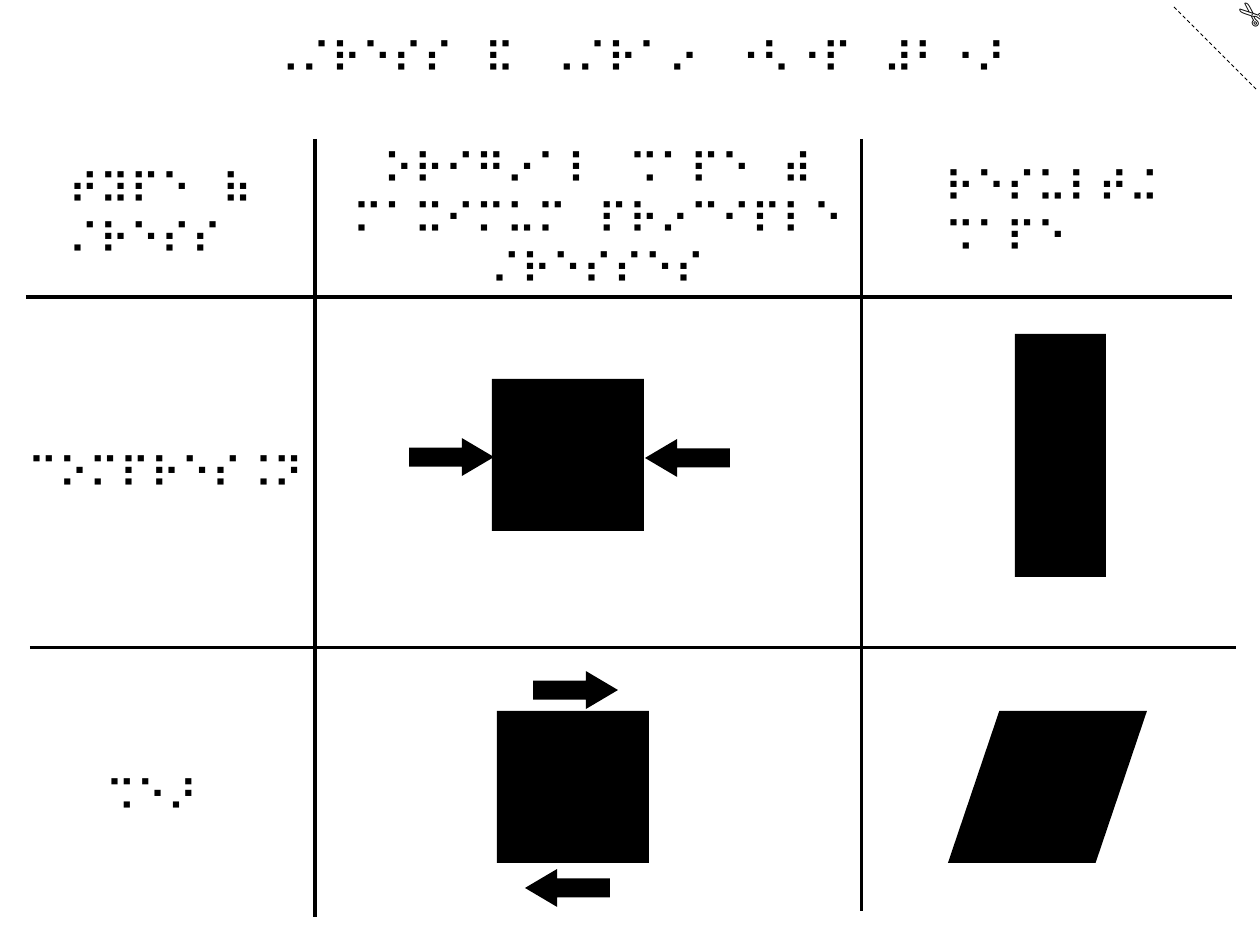
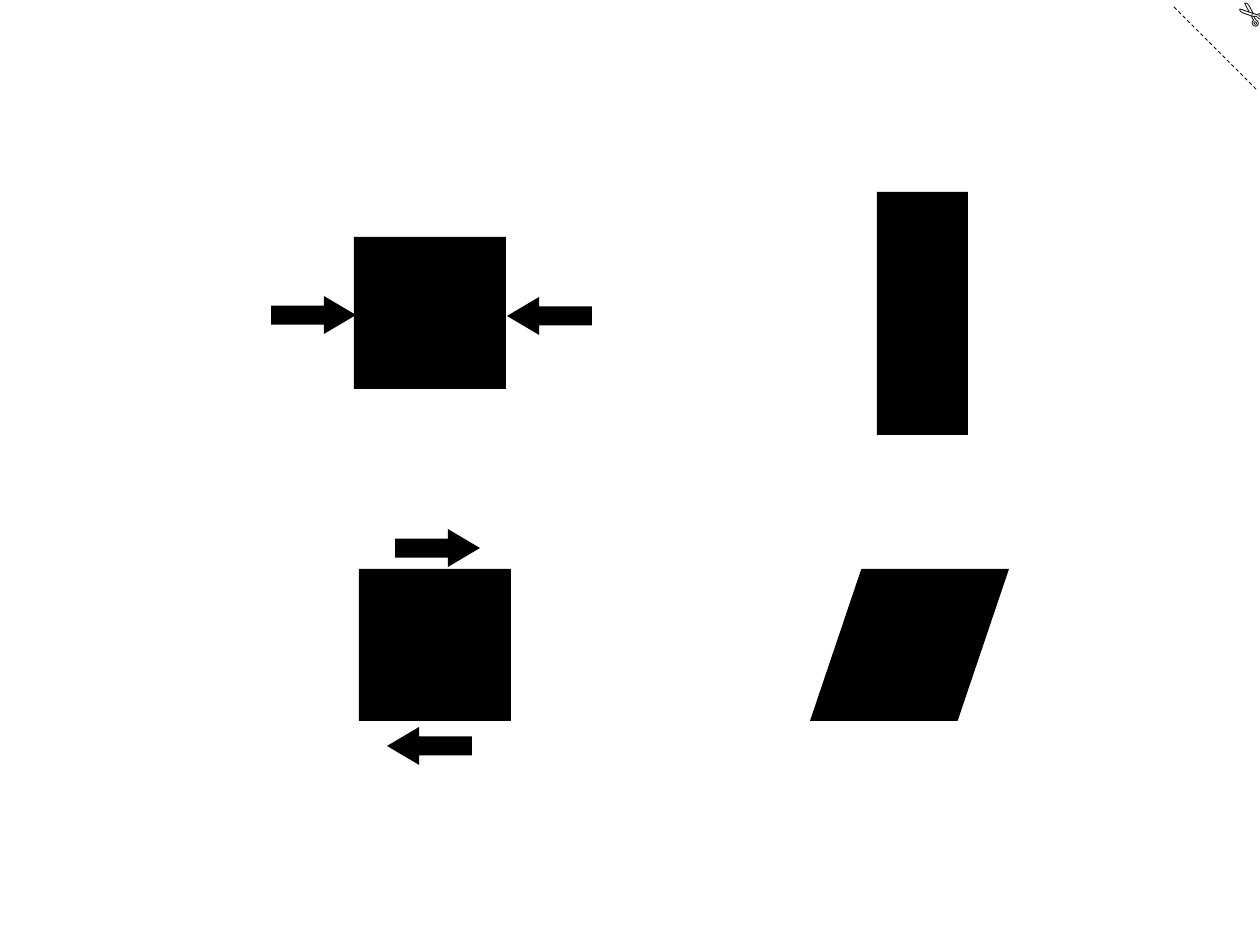
"""Build a braille chart of stress types and a sheet of its diagrams alone."""
import pptx
import pptx.dml.color
import pptx.enum.dml
import pptx.enum.shapes
import pptx.enum.text
import pptx.util
import lxml.etree

SCALE = 914400 / 126
COLORS = {"ink": "000000", "paper": "FFFFFF"}
SHAPES = pptx.enum.shapes.MSO_SHAPE
ALIGN = pptx.enum.text.PP_ALIGN
BRAILLE_BLANK = "\u2800"
EFFECT_LIST = "{http://schemas.openxmlformats.org/drawingml/2006/main}effectLst"


def emu(*pixels):
    return [pptx.util.Emu(round(p * SCALE)) for p in pixels]


def color(name):
    return pptx.dml.color.RGBColor.from_string(COLORS[name])


class Sheet:
    def __init__(self, deck):
        self.deck = deck
        self.slide = None

    def start(self):
        self.slide = self.deck.slides.add_slide(self.deck.slide_layouts[6])
        background = self.slide.background.fill
        background.solid()
        background.fore_color.rgb = color("paper")
        self.line(1174, 7, 1257, 90, weight=0.5, dashed=True)
        self.text(1224, -10, 53, 50, ["\u2704 "], size=18, font="Calibri", wrap=True, turn=220.5)

    def line(self, x1, y1, x2, y2, weight=1.75, dashed=False):
        rule = self.slide.shapes.add_connector(
            pptx.enum.shapes.MSO_CONNECTOR.STRAIGHT, *emu(x1, y1, x2, y2))
        rule.line.color.rgb = color("ink")
        rule.line.width = pptx.util.Pt(weight)
        if dashed:
            rule.line.dash_style = pptx.enum.dml.MSO_LINE.DASH
        lxml.etree.SubElement(rule._element.spPr, EFFECT_LIST)

    def text(self, x, y, w, h, lines, size=24, font="Arial", align=None,
             wrap=False, turn=0):
        box = self.slide.shapes.add_textbox(*emu(x, y, w, h))
        box.rotation = turn
        frame = box.text_frame
        frame.word_wrap = wrap
        frame.auto_size = pptx.enum.text.MSO_AUTO_SIZE.SHAPE_TO_FIT_TEXT
        for index, words in enumerate(lines):
            paragraph = frame.add_paragraph() if index else frame.paragraphs[0]
            paragraph.alignment = align
            run = paragraph.add_run()
            run.text = words
            run.font.size = pptx.util.Pt(size)
            run.font.name = font
            run.font.color.rgb = color("ink")

    def braille(self, x, y, w, h, *lines, **style):
        cells = [line.replace(" ", BRAILLE_BLANK) for line in lines]
        self.text(x, y, w, h, cells, **style)

    def solid(self, kind, x, y, w, h, adjustments=(), turn=0):
        body = self.slide.shapes.add_shape(kind, *emu(x, y, w, h))
        for index, value in enumerate(adjustments):
            body.adjustments[index] = value
        body.rotation = turn
        body.shadow.inherit = False
        body.fill.solid()
        body.fill.fore_color.rgb = color("ink")
        body.line.fill.background()

    def arrow(self, x, y, turn=0):
        self.solid(SHAPES.LEFT_ARROW, x, y, 85, 38, (0.5, 0.846), turn)

    def diagrams(self, dx=0, dy=0):
        for x, y in ((492, 379), (497, 711)):
            self.solid(SHAPES.RECTANGLE, x + dx, y + dy, 152, 152)
        self.solid(SHAPES.RECTANGLE, 1015 + dx, 334 + dy, 91, 243)
        self.solid(SHAPES.PARALLELOGRAM, 948 + dx, 711 + dy, 199, 152, (0.338,))
        for x, y, turn in ((409, 438, 180), (645, 439, 0), (533, 671, 180), (525, 869, 0)):
            self.arrow(x + dx, y + dy, turn)


deck = pptx.Presentation()
deck.slide_width, deck.slide_height = emu(1260, 945)
sheet = Sheet(deck)

sheet.start()
for rule_ends in ((26, 297, 1232, 297), (30, 648, 1236, 648),
                  (315, 139, 315, 917), (862, 139, 862, 911)):
    sheet.line(*rule_ends)
sheet.braille(257, 25, 776, 63, "⠠⠌⠗⠑⠎⠎ ⠯ ⠠⠌⠗⠁⠔ ⠐⠣⠐⠏ ⠼⠃⠐⠜")
sheet.braille(56, 156, 228, 115, "⠞⠽⠏⠑ ⠷⠌⠗⠑⠎⠎", wrap=True)
sheet.braille(331, 136, 533, 165, "⠕⠗⠊⠛⠔⠁⠇ ⠩⠁⠏⠑ ⠾", "⠍⠁⠭⠊⠍⠥⠍ ⠏⠗⠔⠉⠊⠏⠇⠑",
              "⠌⠗⠑⠎⠎⠑⠎", align=ALIGN.CENTER)
sheet.braille(932, 154, 271, 115, "⠗⠑⠎⠥⠇⠞⠬ ", "⠩⠁⠏⠑")
sheet.braille(15, 440, 314, 63, "⠉⠕⠍⠏⠗⠑⠎⠨⠝")
sheet.braille(93, 763, 121, 63, "⠩⠑⠜")
sheet.diagrams()

sheet.start()
sheet.diagrams(-138, -142)

deck.save("out.pptx")
